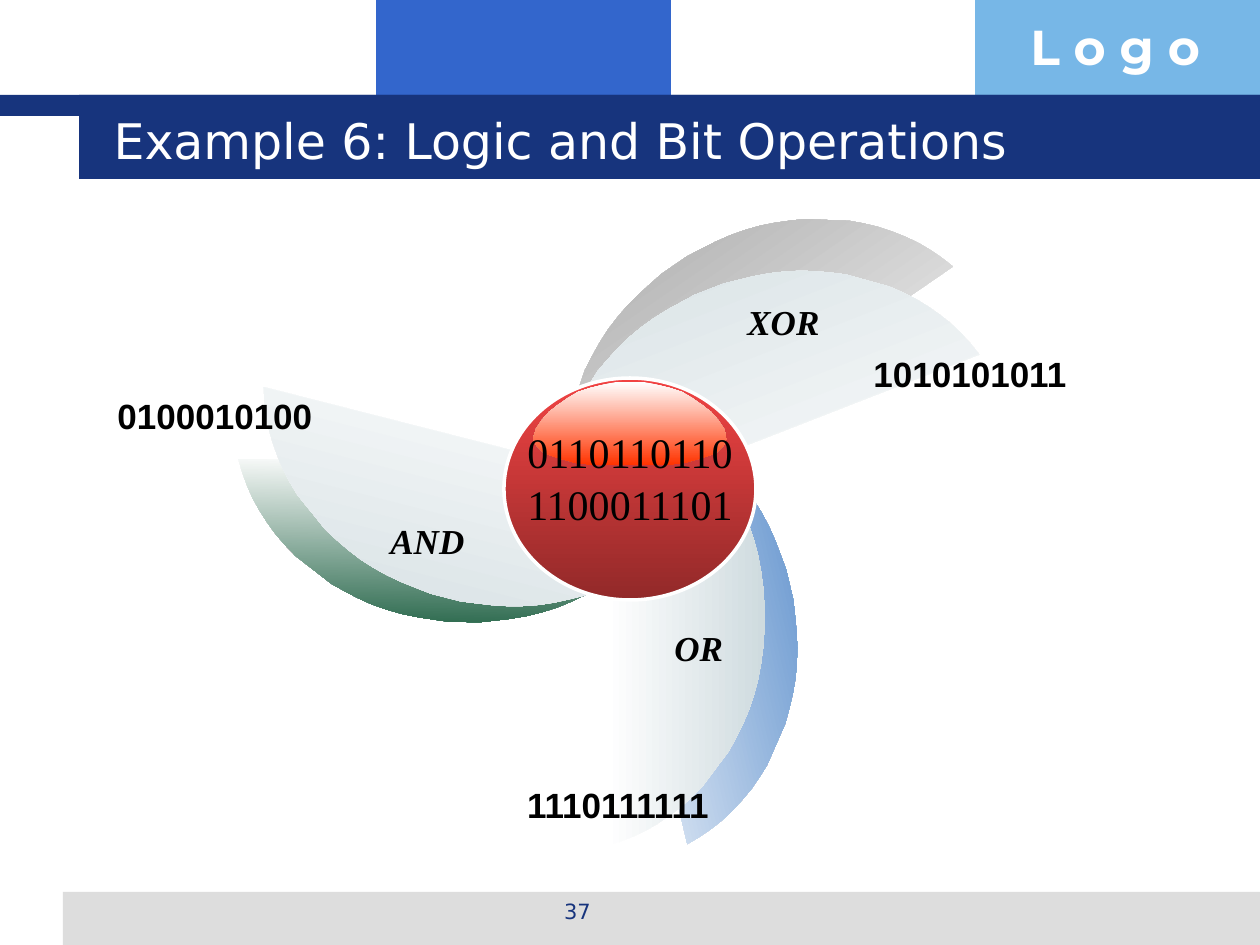
from math import cos, radians, sin

from pptx import Presentation
from pptx.dml.color import RGBColor
from pptx.enum.shapes import MSO_SHAPE
from pptx.enum.text import MSO_ANCHOR, PP_ALIGN
from pptx.util import Pt

PX = 914400 / 126  # EMU per px

WHITE = RGBColor(0xFF, 0xFF, 0xFF)
BLACK = RGBColor(0x00, 0x00, 0x00)
NAVY = RGBColor(0x17, 0x34, 0x7D)
ROYAL = RGBColor(0x33, 0x66, 0xCC)
SKY = RGBColor(0x77, 0xB7, 0xE7)
LIGHT_GRAY = RGBColor(0xDD, 0xDD, 0xDD)
BLUE = RGBColor(0x44, 0x7E, 0xC4)
GREEN = RGBColor(0x2A, 0x68, 0x4C)
GRAY = RGBColor(0x96, 0x96, 0x96)
MIST = RGBColor(0xCF, 0xDB, 0xDF)
RED = RGBColor(0xF1, 0x43, 0x43)
DARK_RED = RGBColor(0x92, 0x29, 0x29)
ORANGE = RGBColor(0xFF, 0x33, 0x00)

SANS, SERIF, DIGITS, LOGO = "DejaVu Sans", "Times New Roman", "Arial", "Montserrat"

BLADE_W, BLADE_H = 159, 457
ARC = 77  # half angle of the blade's curved edge, in degrees

# Left, top, rotation, colour: shadows first, then the pale blades
BLADES = [
    (633, 375, 346.8, BLUE), (386, 314, 91, GREEN), (640, 102, 235.5, GRAY),
    (606, 389, 0, MIST), (386, 292, 104.3, MIST), (658, 135, 248.7, MIST),
]

BARS = [
    (376, 0, 295, 116, ROYAL), (975, 0, 285, 116, SKY),
    (63, 892, 1197, 53, LIGHT_GRAY),
    (0, 95, 1260, 21, NAVY), (79, 95, 1181, 84, NAVY),
]

# Right half of the ball's highlight, as offsets from its top centre
GLOSS = [(14, 0), (28, 3), (40, 6), (52, 10), (62, 16), (72, 23), (81, 30),
         (88, 38), (94, 47), (97, 57), (93, 64), (86, 71), (72, 76), (54, 81),
         (34, 83)]


def emu(*lengths):
    return [round(n * PX) for n in lengths]


def gradient(sp, start, end, angle):
    sp.shadow.inherit = False
    sp.fill.gradient()
    sp.fill.gradient_angle = angle
    for stop, position, color in zip(sp.fill.gradient_stops, (0, 1), (start, end)):
        stop.position = position
        stop.color.rgb = color


def add_bar(s, x, y, w, h, color):
    sp = s.shapes.add_shape(MSO_SHAPE.RECTANGLE, *emu(x, y, w, h))
    sp.shadow.inherit = False
    sp.fill.solid()
    sp.fill.fore_color.rgb = color
    sp.line.fill.background()


def add_outline(s, points):
    builder = s.shapes.build_freeform(*points[0], scale=PX)
    builder.add_line_segments(points[1:], close=True)
    sp = builder.convert_to_shape()
    sp.line.fill.background()
    return sp


def add_blade(s, x, y, rotation, color):
    end = radians(ARC)
    points = []
    for step in range(-20, 21):
        t = end * step / 20
        points.append((x + BLADE_W * (cos(t) - cos(end)) / (1 - cos(end)),
                       y + BLADE_H / 2 * (1 + sin(t) / sin(end))))
    sp = add_outline(s, points)
    gradient(sp, WHITE, color, 0)
    sp.rotation = rotation


def add_ball(s):
    ball = s.shapes.add_shape(MSO_SHAPE.OVAL, *emu(504, 378, 252, 222))
    gradient(ball, RED, DARK_RED, 270)
    ball.line.color.rgb = WHITE
    ball.line.width = Pt(2)
    right = [(630 + dx, 382 + dy) for dx, dy in GLOSS]
    left = [(630 - dx, 382 + dy) for dx, dy in reversed(GLOSS)]
    gradient(add_outline(s, right + left), WHITE, ORANGE, 270)


def write(tf, text, size, name, color=BLACK, bold=False, italic=False,
          align=PP_ALIGN.LEFT):
    p = tf.paragraphs[0]
    p.text = text
    p.alignment = align
    p.font.size = Pt(size)
    p.font.name = name
    p.font.color.rgb = color
    p.font.bold = bold
    p.font.italic = italic


def add_text(s, x, y, w, h, text, size, name, wrap=True, **style):
    tf = s.shapes.add_textbox(*emu(x, y, w, h)).text_frame
    tf.word_wrap = wrap
    write(tf, text, size, name, **style)


def add_title(s, text):
    title = s.shapes.title
    title.left, title.top, title.width, title.height = emu(101, 101, 1075, 78)
    title.text_frame.vertical_anchor = MSO_ANCHOR.MIDDLE
    write(title.text_frame, text, 28, SANS, WHITE)
    # Bring the title in front of the bars
    s.shapes._spTree.append(title._element)


def main():
    prs = Presentation()
    prs.slide_width, prs.slide_height = emu(1260, 945)
    s = prs.slides.add_slide(prs.slide_layouts[5])

    # Header and footer
    for bar in BARS:
        add_bar(s, *bar)
    add_text(s, 1018, 10, 243, 72, "L o g o", 28, LOGO, color=WHITE, bold=True)
    add_text(s, 431, 892, 293, 44, "37", 12, SANS, color=NAVY,
             align=PP_ALIGN.CENTER)
    add_title(s, "Example 6: Logic and Bit Operations")

    # Propeller
    for blade in BLADES:
        add_blade(s, *blade)
    add_ball(s)

    # Operands
    for y, bits in ((420, "0110110110"), (472, "1100011101")):
        add_text(s, 504, y, 252, 63, bits, 24, SERIF, align=PP_ALIGN.CENTER)

    # Operators
    for x, y, operator in ((378, 513, "AND"), (662, 620, "OR"), (735, 294, "XOR")):
        add_text(s, x, y, 116, 54, operator, 20, SERIF, bold=True, italic=True)

    # Results
    for x, y, bits, align in ((105, 388, "0100010100", PP_ALIGN.LEFT),
                              (501, 777, "1110111111", PP_ALIGN.RIGHT),
                              (861, 346, "1010101011", PP_ALIGN.LEFT)):
        add_text(s, x, y, 220, 54, bits, 20, DIGITS, wrap=False, bold=True,
                 align=align)

    prs.save("out.pptx")


if __name__ == "__main__":
    main()
